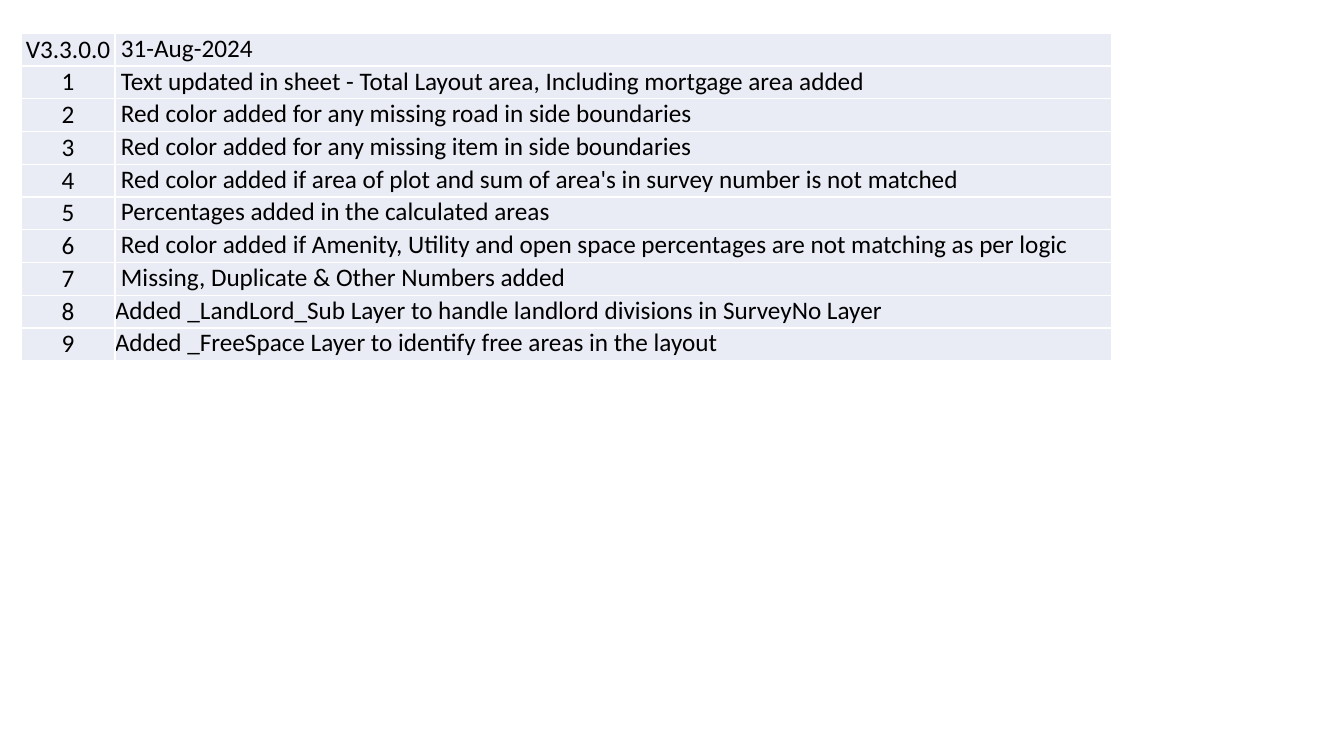
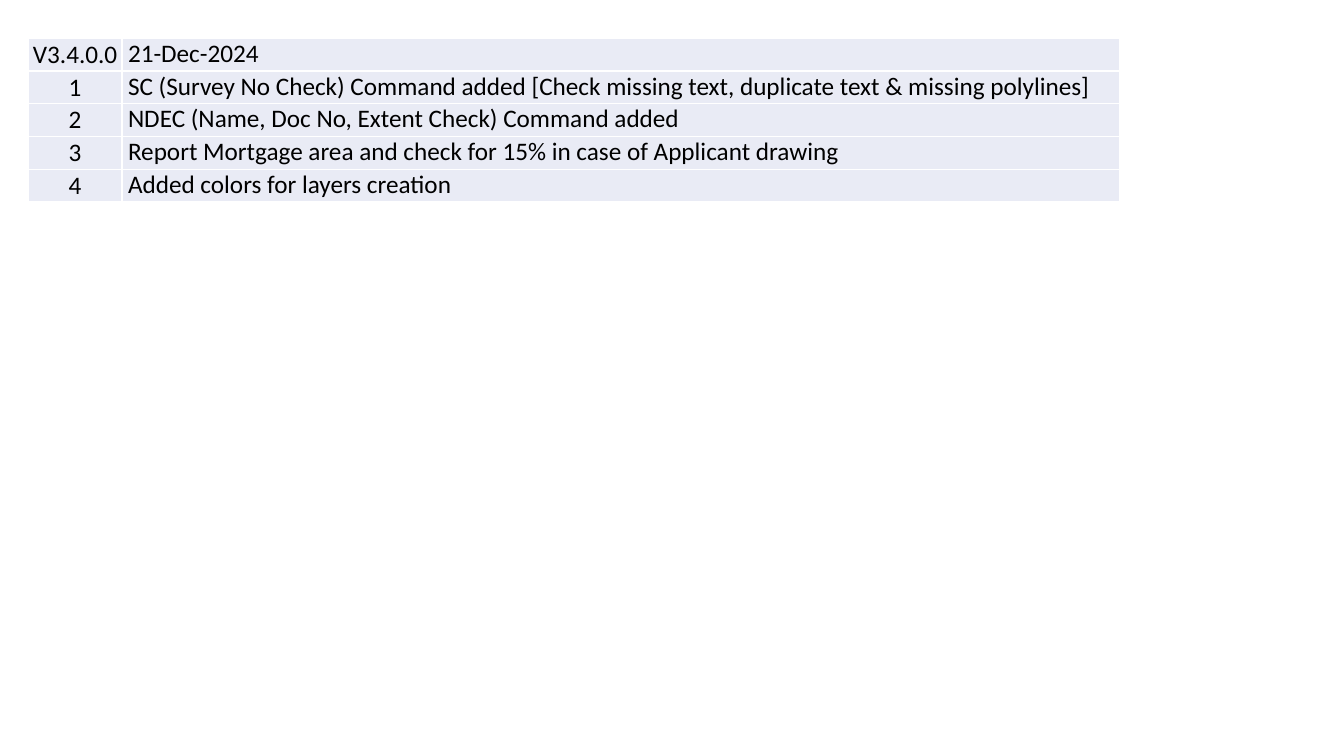
from pptx import Presentation
from pptx.dml.color import RGBColor
from pptx.enum.text import MSO_ANCHOR, PP_ALIGN
from pptx.util import Inches, Pt

CENTER, LEFT = PP_ALIGN.CENTER, PP_ALIGN.LEFT
MIDDLE, TOP = MSO_ANCHOR.MIDDLE, MSO_ANCHOR.TOP

# "indented" changes sit slightly in from the cell edge, "flush" ones touch it.
RELEASES = [
    {
        "version": "V3.3.0.0",
        "date": "31-Aug-2024",
        "corner": (0.21, 0.33),
        "indented": [
            "Text updated in sheet - Total Layout area, Including mortgage area added",
            "Red color added for any missing road in side boundaries",
            "Red color added for any missing item in side boundaries",
            "Red color added if area of plot and sum of area's in survey number is not matched",
            "Percentages added in the calculated areas",
            "Red color added if Amenity, Utility and open space percentages are not matching as per logic",
            "Missing, Duplicate & Other Numbers added",
        ],
        "flush": [
            "Added _LandLord_Sub Layer to handle landlord divisions in SurveyNo Layer",
            "Added _FreeSpace Layer to identify free areas in the layout",
        ],
    },
    {
        "version": "V3.4.0.0",
        "date": "21-Dec-2024",
        "corner": (0.28, 0.38),
        "indented": [
            "SC (Survey No Check) Command added [Check missing text, duplicate text & missing polylines]",
            "NDEC (Name, Doc No, Extent Check) Command added",
            "Report Mortgage area and check for 15% in case of Applicant drawing",
            "Added colors for layers creation",
        ],
        "flush": [],
    },
]

FONT = "Calibri"
TEXT_SIZE = Pt(18)
TEXT_COLOR = RGBColor(0x00, 0x00, 0x00)
CELL_COLOR = RGBColor(0xE9, 0xEB, 0xF5)
COLUMN_WIDTHS = (Inches(0.93), Inches(9.89))
ROW_HEIGHT = Inches(3.25) // 10
INDENT = Inches(0.06)
BLANK_LAYOUT = 6


def fill_cell(cell, text, align, anchor, indent=0):
    cell.fill.solid()
    cell.fill.fore_color.rgb = CELL_COLOR
    cell.margin_top = cell.margin_right = cell.margin_bottom = 0
    cell.margin_left = indent
    cell.vertical_anchor = anchor
    paragraph = cell.text_frame.paragraphs[0]
    paragraph.alignment = align
    run = paragraph.add_run()
    run.text = text
    run.font.name = FONT
    run.font.size = TEXT_SIZE
    run.font.color.rgb = TEXT_COLOR


def add_release_slide(prs, release):
    slide = prs.slides.add_slide(prs.slide_layouts[BLANK_LAYOUT])
    entries = [(text, INDENT) for text in [release["date"], *release["indented"]]]
    entries += [(text, 0) for text in release["flush"]]

    left, top = map(Inches, release["corner"])
    table = slide.shapes.add_table(
        len(entries), len(COLUMN_WIDTHS), left, top,
        sum(COLUMN_WIDTHS), ROW_HEIGHT * len(entries),
    ).table
    table.first_row = table.horz_banding = False
    for column, width in zip(table.columns, COLUMN_WIDTHS):
        column.width = width

    for number, (text, indent) in enumerate(entries):
        table.rows[number].height = ROW_HEIGHT
        label = str(number) if number else release["version"]
        fill_cell(table.cell(number, 0), label, CENTER, MIDDLE)
        fill_cell(table.cell(number, 1), text, LEFT, TOP, indent)


def main():
    prs = Presentation()
    prs.slide_width, prs.slide_height = Inches(13.33), Inches(7.5)
    for release in RELEASES:
        add_release_slide(prs, release)
    prs.save("out.pptx")


if __name__ == "__main__":
    main()
